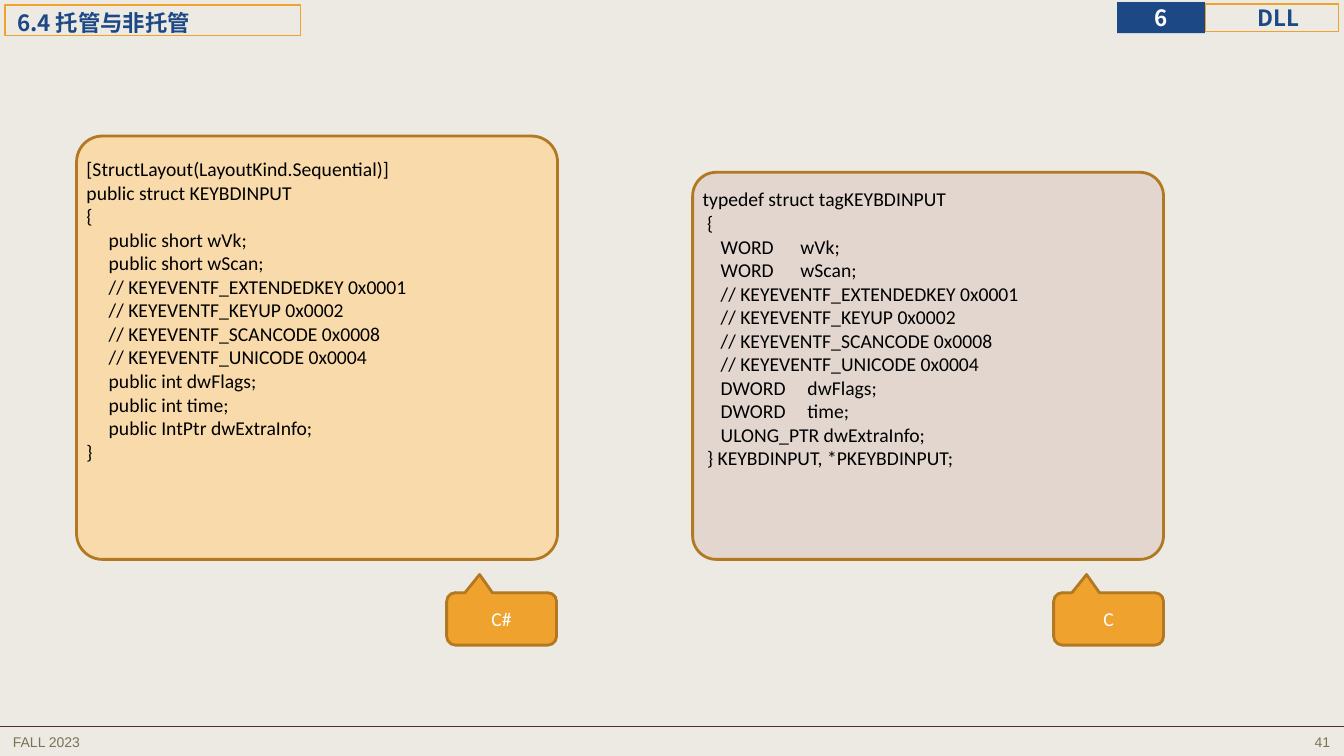
from dataclasses import dataclass

from lxml.etree import SubElement
from pptx import Presentation
from pptx.dml.color import RGBColor
from pptx.enum.shapes import MSO_CONNECTOR, MSO_SHAPE
from pptx.enum.text import MSO_ANCHOR, PP_ALIGN
from pptx.oxml.ns import qn
from pptx.util import Inches, Pt

PAPER = RGBColor(0xEC, 0xEA, 0xE3)
NAVY = RGBColor(0x1C, 0x48, 0x85)
WHITE = RGBColor(0xFF, 0xFF, 0xFF)
BLACK = RGBColor(0x00, 0x00, 0x00)
AMBER = RGBColor(0xF0, 0xA2, 0x2E)
BRONZE = RGBColor(0xB2, 0x78, 0x22)
PEACH = RGBColor(0xF9, 0xDA, 0xAB)
ROSE = RGBColor(0xE2, 0xD6, 0xCF)
OLIVE = RGBColor(0x7C, 0x71, 0x54)
BROWN = RGBColor(0x52, 0x32, 0x27)

HEAD = "Noto Sans CJK SC"
BODY = "Calibri"
FOOT = "Arial"

Box = tuple[float, float, float, float]


@dataclass
class Panel:
    card: Box
    area: Box
    fill: RGBColor
    stops: tuple[float, ...]
    code: list[str]
    name: str
    tag: Box


@dataclass
class Title:
    box: Box
    text: str
    fill: RGBColor | None
    color: RGBColor
    align: PP_ALIGN
    inset: float
    ratio: float
    gap: float
    wrap: bool


FLAGS = [
    "\t// KEYEVENTF_EXTENDEDKEY 0x0001",
    "\t// KEYEVENTF_KEYUP 0x0002",
    "\t// KEYEVENTF_SCANCODE 0x0008",
    "\t// KEYEVENTF_UNICODE 0x0004",
]

PANELS = [
    Panel((0.76, 1.35, 4.77, 4.2), (0.76, 1.51, 4.77, 4.04), PEACH, (0.22,), [
        "[StructLayout(LayoutKind.Sequential)]",
        "public struct KEYBDINPUT",
        "{",
        "\tpublic short wVk;",
        "\tpublic short wScan;",
        *FLAGS,
        "\tpublic int dwFlags;",
        "\tpublic int time;",
        "\tpublic IntPtr dwExtraInfo;",
        "}",
    ], "C#", (4.43, 5.88, 1.09, 0.52)),
    Panel((6.87, 1.71, 4.67, 3.84), (6.87, 1.81, 4.68, 2.93), ROSE, (0.18, 0.97, 1.04), [
        "typedef struct tagKEYBDINPUT",
        " {",
        "\tWORD\twVk;",
        "\tWORD\twScan;",
        *FLAGS,
        "\tDWORD\t\tdwFlags;",
        "\tDWORD\t\ttime;",
        "\tULONG_PTR dwExtraInfo;",
        " } KEYBDINPUT, *PKEYBDINPUT;",
    ], "C", (10.45, 5.88, 1.09, 0.52)),
]

TITLES = [
    Title((11.96, 0.04, 1.32, 0.27), "DLL", None, NAVY, PP_ALIGN.CENTER, 0.12, 1, 0, True),
    Title((11.08, 0.02, 0.87, 0.31), "6", NAVY, WHITE, PP_ALIGN.CENTER, 0, 1, 0, False),
    Title((0.05, 0.05, 2.93, 0.3), "6.4 托管与非托管", None, NAVY, PP_ALIGN.LEFT, 0.12, 1.2, 1.6, True),
]


def place(box: Box) -> list[int]:
    return [Inches(side) for side in box]


def write(shape, lines: list[str], *, font: str, size: float, color: RGBColor,
          bold: bool = False, align=PP_ALIGN.LEFT, anchor=MSO_ANCHOR.TOP,
          inset: float | None = None, wrap: bool = True, ratio: float = 1,
          gap: float = 0, stops: tuple[float, ...] = ()) -> None:
    frame = shape.text_frame
    frame.word_wrap = wrap
    frame.vertical_anchor = anchor
    if inset is not None:
        frame.margin_left = Inches(inset)
        frame.margin_top = frame.margin_right = frame.margin_bottom = 0
    for spot, line in enumerate(lines):
        para = frame.add_paragraph() if spot else frame.paragraphs[0]
        para.alignment = align
        para.line_spacing = ratio
        para.space_before = para.space_after = Pt(gap)
        if stops:
            tabs = SubElement(para._p.get_or_add_pPr(), qn("a:tabLst"))
            for stop in stops:
                SubElement(tabs, qn("a:tab"), pos=str(Inches(stop)), algn="l")
        run = para.add_run()
        run.text = line
        run.font.name = font
        run.font.size = Pt(size)
        run.font.bold = bold
        run.font.color.rgb = color
        SubElement(run._r.get_or_add_rPr(), qn("a:ea"), typeface=font)


def draw(shapes, kind: MSO_SHAPE, box: Box, fill: RGBColor | None,
         line: RGBColor | None, width: float = 2, adjust: tuple[float, ...] = ()):
    shape = shapes.add_shape(kind, *place(box))
    shape.shadow.inherit = False
    if fill is None:
        shape.fill.background()
    else:
        shape.fill.solid()
        shape.fill.fore_color.rgb = fill
    if line is None:
        shape.line.fill.background()
    else:
        shape.line.color.rgb = line
        shape.line.width = Pt(width)
    for spot, value in enumerate(adjust):
        shape.adjustments[spot] = value
    return shape


def add_title(shapes, title: Title) -> None:
    edge = None if title.fill else AMBER
    shape = draw(shapes, MSO_SHAPE.RECTANGLE, title.box, title.fill, edge, 0.75)
    write(shape, [title.text], font=HEAD, size=16, color=title.color, bold=True,
          align=title.align, anchor=MSO_ANCHOR.MIDDLE, inset=title.inset,
          wrap=title.wrap, ratio=title.ratio, gap=title.gap)


def add_panel(shapes, panel: Panel) -> None:
    """Draw a code card with its language callout below."""
    group = shapes.add_group_shape().shapes
    draw(group, MSO_SHAPE.ROUNDED_RECTANGLE, panel.card, panel.fill, BRONZE, adjust=(0.061,))
    write(group.add_textbox(*place(panel.area)), panel.code,
          font=BODY, size=14, color=BLACK, stops=panel.stops)
    tag = draw(shapes, MSO_SHAPE.ROUNDED_RECTANGULAR_CALLOUT, panel.tag, AMBER, BRONZE,
               adjust=(-0.2, -0.848, 0.167))
    write(tag, [panel.name], font=BODY, size=14, color=WHITE,
          align=PP_ALIGN.CENTER, anchor=MSO_ANCHOR.MIDDLE)


def add_footer(shapes) -> None:
    for left, text, align in ((0.03, "FALL 2023", PP_ALIGN.LEFT), (10.51, "41", PP_ALIGN.RIGHT)):
        write(shapes.add_textbox(*place((left, 7.23, 2.78, 0.31))), [text],
              font=FOOT, size=10, color=OLIVE, align=align)
    rule = shapes.add_connector(MSO_CONNECTOR.STRAIGHT, *place((-0.03, 7.21, 13.33, 7.21)))
    rule.line.color.rgb = BROWN
    rule.line.width = Pt(0.5)
    SubElement(rule._element.spPr, qn("a:effectLst"))


def main() -> None:
    deck = Presentation()
    deck.slide_width, deck.slide_height = Inches(13.33), Inches(7.5)
    slide = deck.slides.add_slide(deck.slide_layouts[6])
    slide.background.fill.solid()
    slide.background.fill.fore_color.rgb = PAPER
    add_footer(slide.shapes)
    for title in TITLES:
        add_title(slide.shapes, title)
    for panel in PANELS:
        add_panel(slide.shapes, panel)
    deck.save("out.pptx")


if __name__ == "__main__":
    main()
